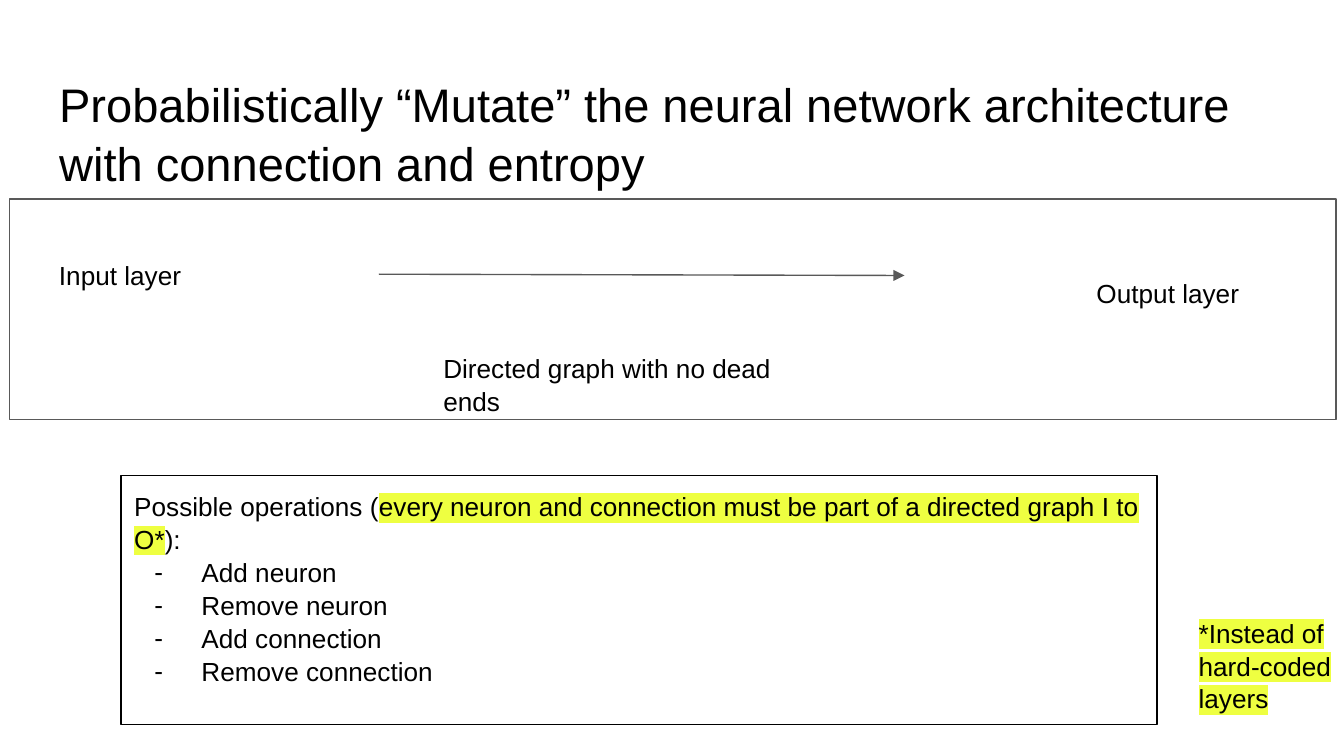
from lxml import etree
from pptx import Presentation
from pptx.dml.color import RGBColor
from pptx.enum.shapes import MSO_CONNECTOR, MSO_SHAPE
from pptx.enum.text import MSO_ANCHOR, PP_ALIGN
from pptx.oxml.ns import qn
from pptx.util import Inches, Pt

BLACK = RGBColor(0x00, 0x00, 0x00)
GREY = RGBColor(0x59, 0x59, 0x59)
YELLOW = RGBColor(0xEE, 0xFF, 0x41)
STRAIGHT, RECTANGLE = MSO_CONNECTOR.STRAIGHT, MSO_SHAPE.RECTANGLE
TOP, LEFT = MSO_ANCHOR.TOP, PP_ALIGN.LEFT
RIGHT_SIDE = 3

# Slide and its grid of 100 columns by 100 rows
deck = Presentation()
deck.slide_width, deck.slide_height = Inches(10), Inches(5.625)
COLUMN, ROW = deck.slide_width / 100, deck.slide_height / 100
page = deck.slides.add_slide(deck.slide_layouts[5])

FRAME_FORMAT = {"word_wrap": True, "vertical_anchor": TOP,
                "margin_left": Inches(0.1), "margin_right": Inches(0.1),
                "margin_top": Inches(0.1), "margin_bottom": Inches(0.1)}


def area(left, top, width, height):
    return (round(left * COLUMN), round(top * ROW),
            round(width * COLUMN), round(height * ROW))


def write(box, paragraphs, size=14):
    """Fill a box; each paragraph is a list of (text, highlighted) spans."""
    frame = box.text_frame
    for name, value in FRAME_FORMAT.items():
        setattr(frame, name, value)
    for number, spans in enumerate(paragraphs):
        para = frame.add_paragraph() if number else frame.paragraphs[0]
        para.alignment, para.line_spacing = LEFT, 1.05
        for text, highlighted in spans:
            span = para.add_run()
            span.text = text
            span.font.name, span.font.size = "Arial", Pt(size)
            span.font.color.rgb = BLACK
            if highlighted:
                mark = etree.Element(qn("a:highlight"))
                etree.SubElement(mark, qn("a:srgbClr"), val=str(YELLOW))
                span.font._element.find(qn("a:solidFill")).addnext(mark)


# Title
title = page.shapes.title
title.left, title.top, title.width, title.height = area(3.4, 7.82, 93.2, 11.2)
write(title, [[("Probabilistically “Mutate” the neural network architecture "
                "with connection and entropy", False)]], 25.2)

# Outlined panels
panels = []
for place, color in [((9, 62.93, 77.1, 32.89), BLACK),
                     ((0.7, 26.31, 98.7, 29.16), GREY)]:
    panel = page.shapes.add_shape(RECTANGLE, *area(*place))
    panel.shadow.inherit = False
    panel.fill.background()
    panel.line.color.rgb, panel.line.width = color, Pt(0.75)
    panels.append(panel)

# Possible operations, with dashes as bullets
operations = ["Add neuron", "Remove neuron", "Add connection", "Remove connection"]
write(panels[0], [
    [("Possible operations (", False),
     ("every neuron and connection must be part of a directed graph I to O*", True),
     ("):", False)],
    *[[(operation, False)] for operation in operations]])
for para in panels[0].text_frame.paragraphs[1:]:
    settings = para._p.get_or_add_pPr()
    settings.set("marL", str(Inches(0.5)))
    settings.set("indent", str(-Inches(0.35)))
    etree.SubElement(settings, qn("a:buFont"), typeface="Arial")
    etree.SubElement(settings, qn("a:buChar"), char="-")

# Labels and side note
labels = {}
for text, highlighted, place in [
        ("Input layer", False, (3.4, 32.36, 24.8, 7.82)),
        ("Output layer", False, (80.6, 34.67, 14.5, 7.82)),
        ("Directed graph with no dead ends", False, (32, 44.62, 30, 11.91)),
        ("*Instead of hard-coded layers", True, (88.2, 79.64, 15.2, 16.18))]:
    labels[text] = page.shapes.add_textbox(*area(*place))
    write(labels[text], [[(text, highlighted)]])

# Arrow from input towards output
arrow = page.shapes.add_connector(STRAIGHT, *area(28.3, 36.27, 67.3, 36.44))
arrow.begin_connect(labels["Input layer"], RIGHT_SIDE)
arrow.line.color.rgb, arrow.line.width = GREY, Pt(0.75)
etree.SubElement(arrow.line._get_or_add_ln(), qn("a:tailEnd"), type="triangle")
etree.SubElement(arrow._element.spPr, qn("a:effectLst"))

deck.save("out.pptx")
